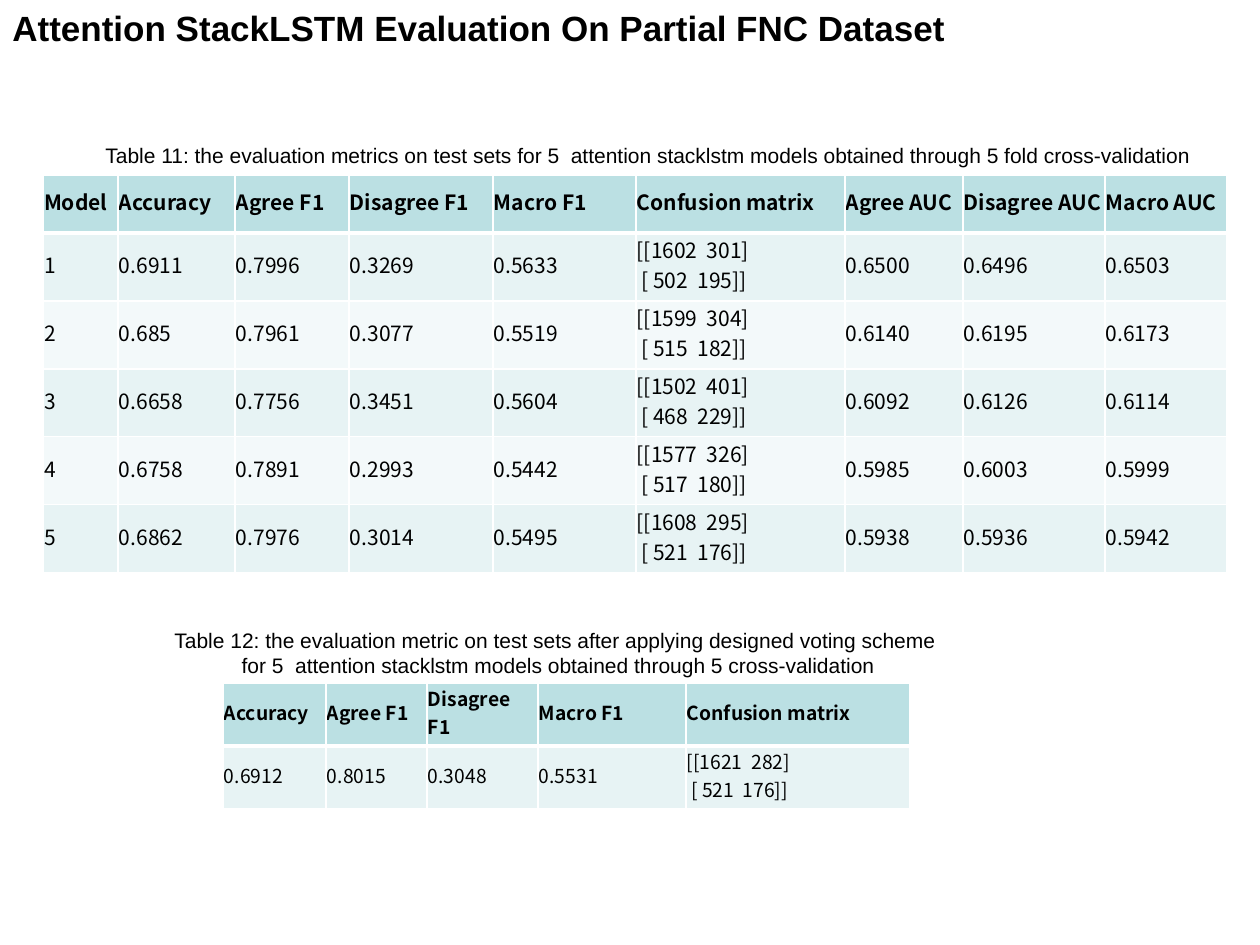
from pptx import Presentation
from pptx.dml.color import RGBColor as RGB
from pptx.enum.text import MSO_ANCHOR as ANCHOR, PP_ALIGN as ALIGN
from pptx.oxml import parse_xml
from pptx.oxml.ns import nsdecls
from pptx.util import Pt

PX = 914400 // 126
BLACK = RGB(0x00, 0x00, 0x00)
HEADER = RGB(0xBB, 0xE0, 0xE3)
BANDS = [RGB(0xE7, 0xF3, 0xF4), RGB(0xF3, 0xF9, 0xFA)]
WHITE = RGB(0xFF, 0xFF, 0xFF)
CELL = dict(margin_left=PX, margin_top=PX, margin_right=PX,
            margin_bottom=6 * PX, vertical_anchor=ANCHOR.MIDDLE)


def write(tf, text, name, size, bold=False, align=ALIGN.LEFT):
    for i, line in enumerate(text.split("\n")):
        p = tf.add_paragraph() if i else tf.paragraphs[0]
        p.alignment = align
        r = p.add_run()
        r.text = line
        for key, value in dict(name=name, size=Pt(size), bold=bold).items():
            setattr(r.font, key, value)
        r.font.color.rgb = BLACK


def border(cell, side, points):
    cell._tc.get_or_add_tcPr().append(parse_xml(
        f'<a:{side} {nsdecls("a")} w="{Pt(points)}"><a:solidFill>'
        f'<a:srgbClr val="{WHITE}"/></a:solidFill></a:{side}>'))


prs = Presentation()
prs.slide_width, prs.slide_height = 1260 * PX, 945 * PX
s = prs.slides.add_slide(prs.slide_layouts[6])

# Tables: left, top, row height, text size, column widths, rows
folds = [
    ["Model", "Accuracy", "Agree F1", "Disagree F1", "Macro F1",
     "Confusion matrix", "Agree AUC", "Disagree AUC", "Macro AUC"],
    ["1", "0.6911", "0.7996", "0.3269", "0.5633",
     "[[1602  301]\n [ 502  195]]", "0.6500", "0.6496", "0.6503"],
    ["2", "0.685", "0.7961", "0.3077", "0.5519",
     "[[1599  304]\n [ 515  182]]", "0.6140", "0.6195", "0.6173"],
    ["3", "0.6658", "0.7756", "0.3451", "0.5604",
     "[[1502  401]\n [ 468  229]]", "0.6092", "0.6126", "0.6114"],
    ["4", "0.6758", "0.7891", "0.2993", "0.5442",
     "[[1577  326]\n [ 517  180]]", "0.5985", "0.6003", "0.5999"],
    ["5", "0.6862", "0.7976", "0.3014", "0.5495",
     "[[1608  295]\n [ 521  176]]", "0.5938", "0.5936", "0.5942"],
]
voting = [
    ["Accuracy", "Agree F1", "Disagree F1", "Macro F1", "Confusion matrix"],
    ["0.6912", "0.8015", "0.3048", "0.5531", "[[1621  282]\n [ 521  176]]"],
]
tables = [
    (43, 175, 58, 12, [75, 117, 114, 144, 143, 209, 118, 142, 122], folds),
    (223, 683, 56, 11, [103, 101, 111, 148, 224], voting),
]
for left, top, height, size, widths, rows in tables:
    table = s.shapes.add_table(len(rows), len(widths), left * PX, top * PX,
                               sum(widths) * PX, height * len(rows) * PX).table
    for column, width in zip(table.columns, widths):
        column.width = width * PX
    for i, row in enumerate(rows):
        table.rows[i].height = height * PX
        for j, text in enumerate(row):
            cell = table.cell(i, j)
            for key, value in CELL.items():
                setattr(cell, key, value)
            write(cell.text_frame, text, "Noto Sans CJK SC", size, bold=i == 0)
            for side in ("lnL", "lnR", "lnT", "lnB"):
                thick = (side == "lnB" and i == 0) or (side == "lnT" and i == 1)
                border(cell, side, 3 if thick else 1)
            cell.fill.solid()
            cell.fill.fore_color.rgb = BANDS[(i - 1) % 2] if i else HEADER

# Title and table captions
texts = [
    (0, 0, 1111, 55, 20, True, ALIGN.LEFT,
     "Attention StackLSTM Evaluation On Partial FNC Dataset"),
    (93, 136, 1144, 38, 12, False, ALIGN.LEFT,
     "Table 11: the evaluation metrics on test sets for 5  attention stacklstm "
     "models obtained through 5 fold cross-validation"),
    (18, 621, 1081, 63, 12, False, ALIGN.CENTER,
     "Table 12: the evaluation metric on test sets after applying designed "
     "voting scheme \n"
     "for 5  attention stacklstm models obtained through 5 cross-validation"),
]
for left, top, width, height, size, bold, align, text in texts:
    sp = s.shapes.add_textbox(left * PX, top * PX, width * PX, height * PX)
    tf = sp.text_frame
    tf.word_wrap = True
    write(tf, text, "Arial", size, bold, align)

prs.save("out.pptx")
